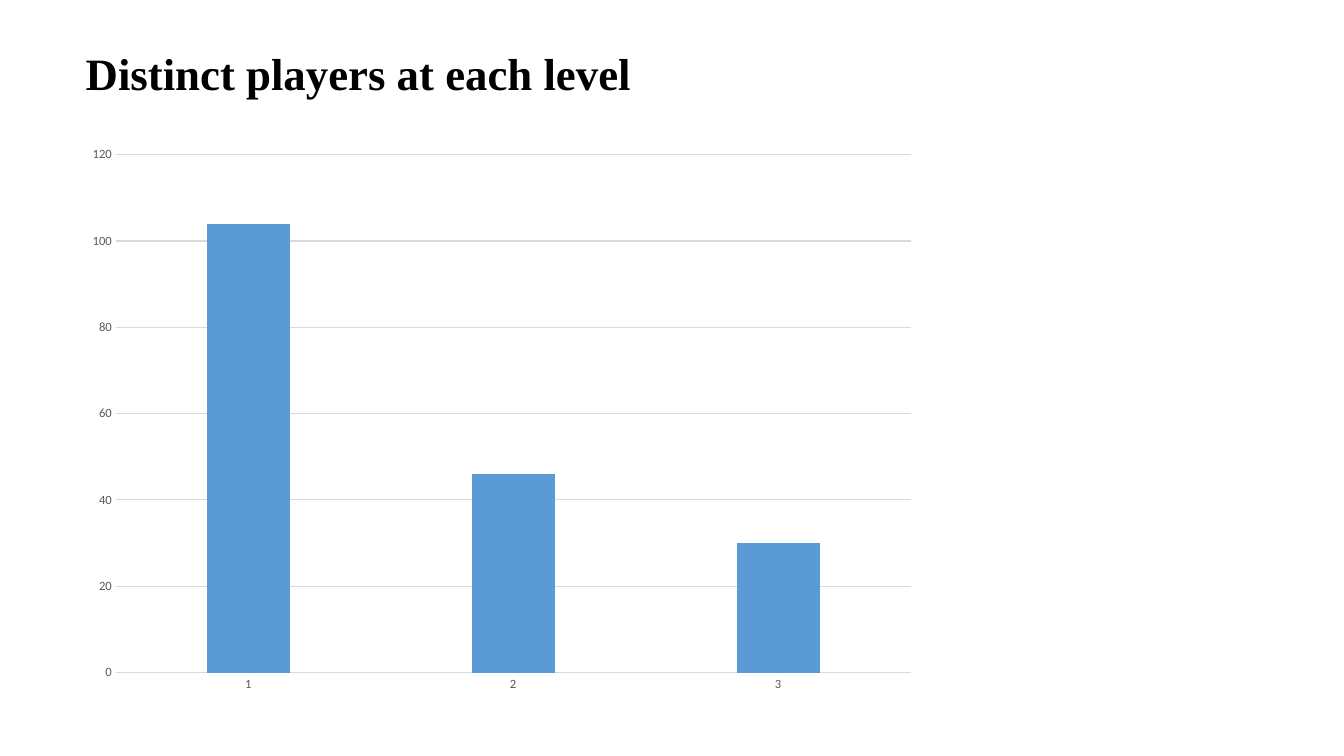
import pptx
import pptx.util
import pptx.chart.data
import pptx.dml.color
import pptx.enum.chart
import pptx.enum.text

Inches = pptx.util.Inches
Pt = pptx.util.Pt
rgb = pptx.dml.color.RGBColor.from_string

theme = {
    "title_font": "Times New Roman",
    "chart_font": "Calibri",
    "title_size": Pt(32),
    "chart_size": Pt(10),
    "label_size": Pt(9),
    "line_width": Pt(0.75),
    "title": rgb("000000"),
    "label": rgb("595959"),
    "grid": rgb("D9D9D9"),
    "bar": rgb("5B9BD5"),
}

deck = pptx.Presentation()
deck.slide_width = Inches(13.33)
deck.slide_height = Inches(7.5)
slide = deck.slides.add_slide(deck.slide_layouts[5])

heading = slide.shapes.title
heading.left, heading.top = Inches(0.75), Inches(0.4)
heading.width, heading.height = Inches(6.12), Inches(0.64)
heading_frame = heading.text_frame
heading_frame.word_wrap = True
heading_frame.auto_size = pptx.enum.text.MSO_AUTO_SIZE.SHAPE_TO_FIT_TEXT
heading_frame.vertical_anchor = pptx.enum.text.MSO_ANCHOR.TOP
heading_line = heading_frame.paragraphs[0]
heading_line.alignment = pptx.enum.text.PP_ALIGN.LEFT
heading_run = heading_line.add_run()
heading_run.text = "Distinct players at each level"
heading_run.font.name = theme["title_font"]
heading_run.font.size = theme["title_size"]
heading_run.font.bold = True
heading_run.font.color.rgb = theme["title"]

players_by_level = pptx.chart.data.CategoryChartData()
players_by_level.categories = ["1", "2", "3"]
players_by_level.add_series("Series 1", [104, 46, 30])
players_chart = slide.shapes.add_chart(
    pptx.enum.chart.XL_CHART_TYPE.COLUMN_CLUSTERED,
    Inches(0.75), Inches(1.35), Inches(8.45), Inches(5.62),
    players_by_level,
).chart
players_chart.has_title = False
players_chart.has_legend = False
players_chart.font.name = theme["chart_font"]
players_chart.font.size = theme["chart_size"]

columns = players_chart.plots[0]
columns.gap_width = 219
columns.overlap = -27
columns.vary_by_categories = False
player_counts = columns.series[0]
player_counts.format.fill.solid()
player_counts.format.fill.fore_color.rgb = theme["bar"]

levels = players_chart.category_axis
counts = players_chart.value_axis
for axis in (levels, counts):
    axis.major_tick_mark = pptx.enum.chart.XL_TICK_MARK.NONE
    axis.minor_tick_mark = pptx.enum.chart.XL_TICK_MARK.NONE
    axis.tick_labels.font.name = theme["chart_font"]
    axis.tick_labels.font.size = theme["label_size"]
    axis.tick_labels.font.color.rgb = theme["label"]

counts.minimum_scale = 0
counts.maximum_scale = 120
counts.major_unit = 20
counts.has_major_gridlines = True
counts.format.line.fill.background()
for line in (levels.format.line, counts.major_gridlines.format.line):
    line.color.rgb = theme["grid"]
    line.width = theme["line_width"]

deck.save("out.pptx")
